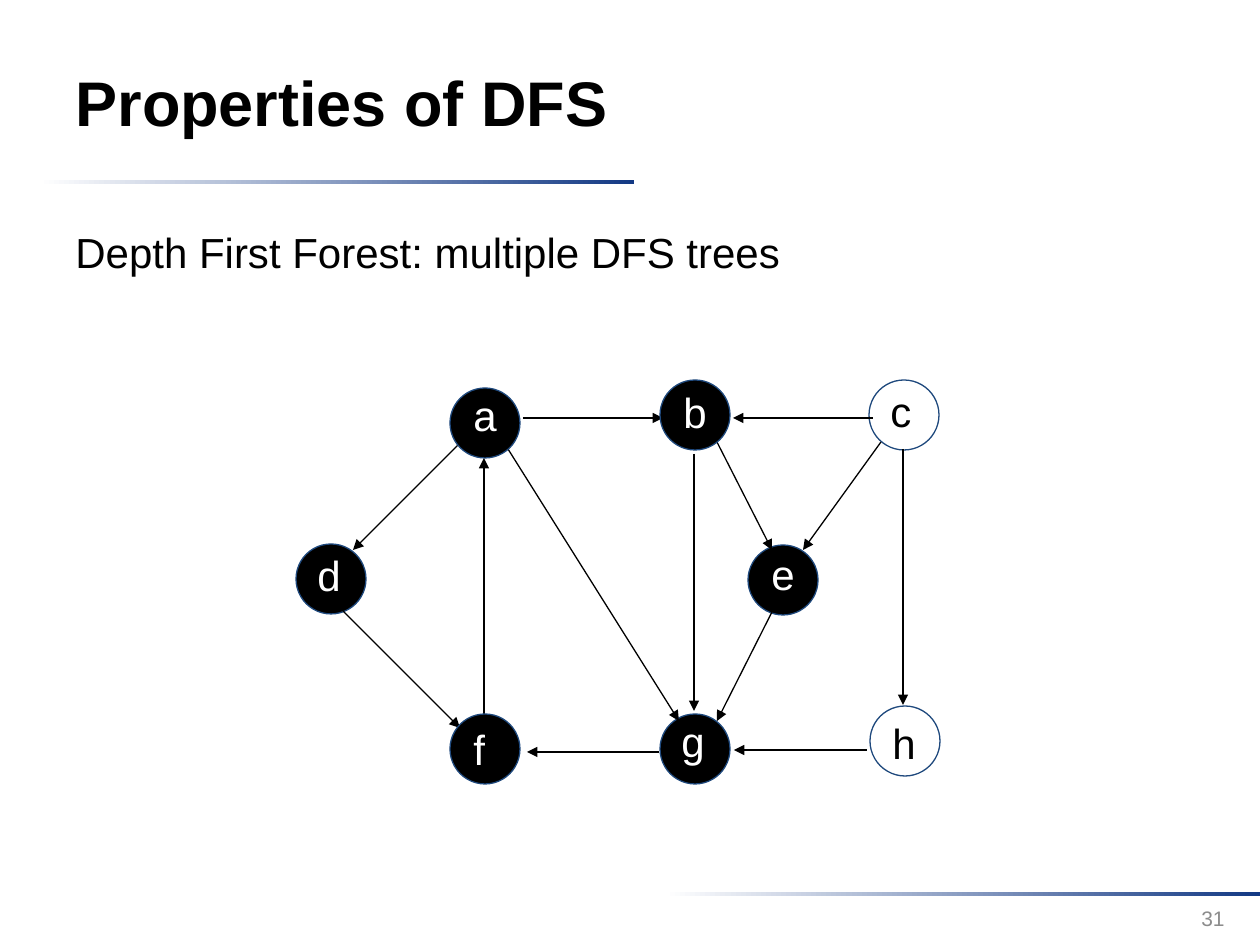
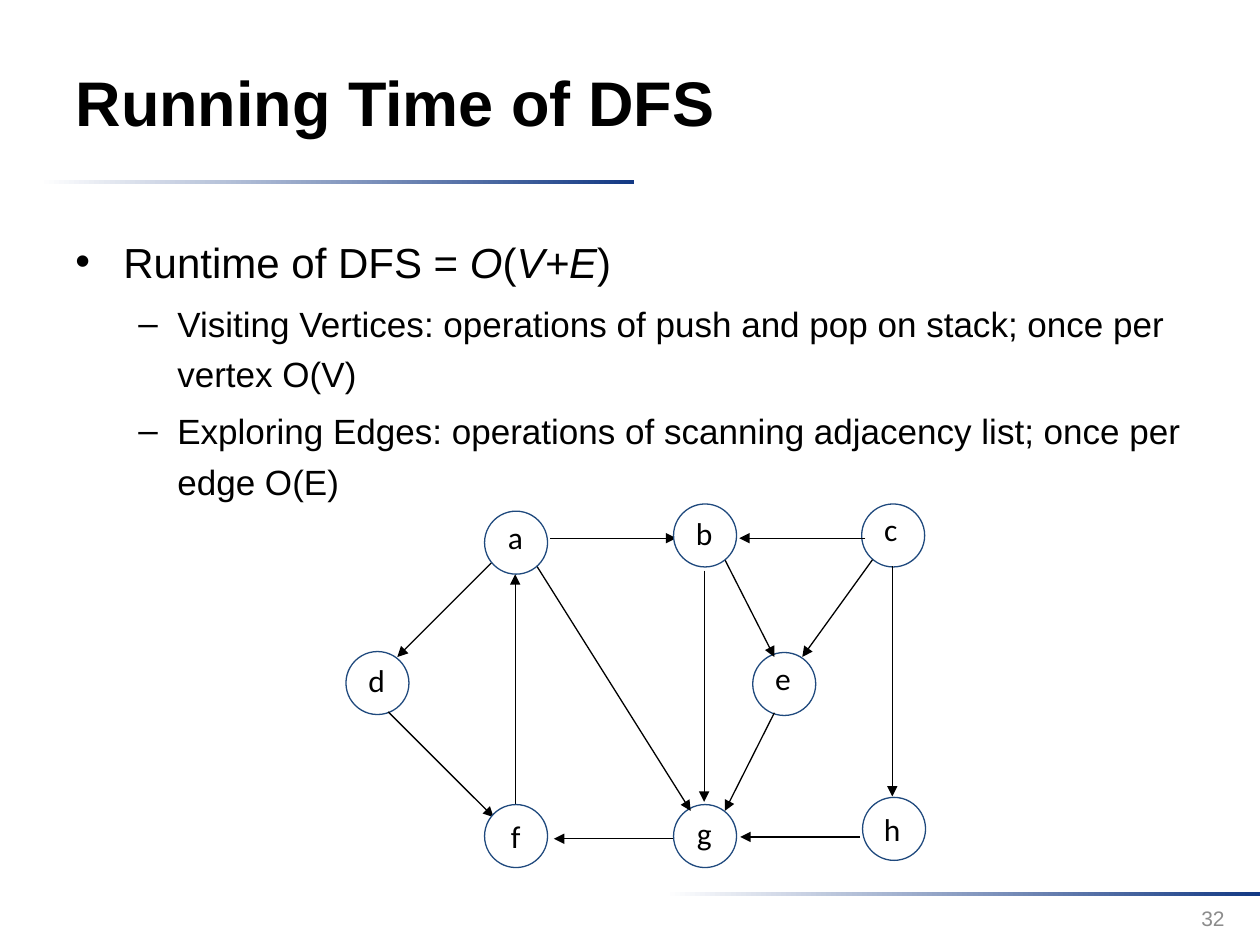
from lxml import etree
from pptx import Presentation
from pptx.dml.color import RGBColor
from pptx.enum.shapes import MSO_CONNECTOR, MSO_SHAPE
from pptx.enum.text import MSO_ANCHOR, PP_ALIGN
from pptx.oxml.ns import qn
from pptx.util import Emu, Pt

LEFT, RIGHT = PP_ALIGN.LEFT, PP_ALIGN.RIGHT
TOP, MIDDLE = MSO_ANCHOR.TOP, MSO_ANCHOR.MIDDLE
RECT, OVAL = MSO_SHAPE.RECTANGLE, MSO_SHAPE.OVAL
STRAIGHT = MSO_CONNECTOR.STRAIGHT

BLACK = RGBColor(0x00, 0x00, 0x00)
WHITE = RGBColor(0xFF, 0xFF, 0xFF)
NAVY = RGBColor(0x13, 0x39, 0x84)
OUTLINE = RGBColor(0x1F, 0x49, 0x7D)
GREY = RGBColor(0x8C, 0x8C, 0x8C)

PX_PER_INCH = 126
SLIDE_W, SLIDE_H = 1260, 945
TITLE_BOX = (63, 23, 974, 157)
BODY_BOX = (63, 220, 1134, 624)
NUMBER_BOX = (944, 893, 293, 50)
BANDS = [(39, 180, 595, 4), (665, 892, 595, 4)]

NODE_SIZE = 70
NODES = {
    "d": (0, 164), "c": (573, 0), "e": (452, 165), "h": (574, 326),
    "g": (364, 334), "f": (154, 334), "a": (154, 8), "b": (364, 0),
}
EDGES = {
    "fa": (188, 335, 188, 78), "ad": (165, 62, 57, 170),
    "df": (47, 231, 164, 348), "ag": (212, 69, 383, 341),
    "gf": (363, 372, 231, 372), "hg": (571, 370, 438, 370),
    "ab": (227, 38, 367, 38), "cb": (577, 38, 437, 38),
    "ch": (607, 69, 607, 325), "bg": (398, 74, 398, 331),
    "be": (421, 62, 476, 170), "ce": (585, 62, 507, 170),
    "eg": (476, 232, 421, 341),
}
FOREST_LABELS = {
    "d": (9, -1), "c": (9, -1), "e": (11, -3), "h": (10, 5),
    "g": (9, -5), "f": (11, 3), "a": (11, -5), "b": (11, 0),
}
RUNTIME_LABELS = {
    "d": (10, 3), "c": (10, 0), "e": (10, 0), "h": (9, 6),
    "g": (11, 3), "f": (14, 6), "a": (11, 1), "b": (10, 4),
}


def px(n):
    """Turn px into EMU."""
    return Emu(round(n * 914400 / PX_PER_INCH))


def emu(box):
    """Turn a box or a pair of points into EMU."""
    return [px(n) for n in box]


def write(p, text, size=24, font="Arial", color=BLACK, bold=False, italic=False):
    """Add one formatted run to a paragraph."""
    r = p.add_run()
    r.text = text
    r.font.size, r.font.name = Pt(size), font
    r.font.bold, r.font.italic = bold, italic
    r.font.color.rgb = color


def add_box(shapes, box, anchor=TOP):
    """Add a wrapping text box and return its text frame."""
    tf = shapes.add_textbox(*emu(box)).text_frame
    tf.word_wrap = True
    tf.vertical_anchor = anchor
    return tf


def add_bullet(p, char, indent, hang):
    """Give a paragraph a hanging bullet."""
    pPr = p._p.get_or_add_pPr()
    pPr.set("marL", str(px(indent)))
    pPr.set("indent", str(-px(hang)))
    etree.SubElement(pPr, qn("a:buFont")).set("typeface", "Arial")
    etree.SubElement(pPr, qn("a:buChar")).set("char", char)


def add_band(s, box):
    """Draw a thin rule that fades in from white."""
    sp = s.shapes.add_shape(RECT, *emu(box))
    sp.shadow.inherit = False
    sp.line.fill.background()
    sp.fill.gradient()
    sp.fill.gradient_angle = 0
    for stop, color in zip(sp.fill.gradient_stops, (WHITE, NAVY)):
        stop.color.rgb = color


def add_frame(prs, title, number):
    """Add a slide with its bands, title and page number."""
    s = prs.slides.add_slide(prs.slide_layouts[5])
    for band in BANDS:
        add_band(s, band)
    sp = s.shapes.title
    sp.left, sp.top, sp.width, sp.height = emu(TITLE_BOX)
    sp.text_frame.vertical_anchor = MIDDLE
    p = sp.text_frame.paragraphs[0]
    p.alignment = LEFT
    write(p, title, size=36, bold=True)
    p = add_box(s.shapes, NUMBER_BOX, MIDDLE).paragraphs[0]
    p.alignment = RIGHT
    write(p, str(number), size=12, color=GREY)
    return s


def add_edge(shapes, ends):
    """Draw an arrow between two points."""
    line = shapes.add_connector(STRAIGHT, *emu(ends))
    line.line.color.rgb = BLACK
    line.line.width = Pt(0.75)
    etree.SubElement(line.line._get_or_add_ln(), qn("a:tailEnd")).set("type", "triangle")
    etree.SubElement(line._element.spPr, qn("a:effectLst"))


def add_node(shapes, name, box, label_box, visited, size, font):
    """Draw a vertex, black once visited, and its label."""
    sp = shapes.add_shape(OVAL, *emu(box))
    sp.shadow.inherit = False
    sp.fill.solid()
    sp.fill.fore_color.rgb = BLACK if visited else WHITE
    sp.line.color.rgb = OUTLINE
    sp.line.width = Pt(0.75)
    p = add_box(shapes, label_box).paragraphs[0]
    write(p, name, size=size, font=font, color=WHITE if visited else BLACK)


def add_graph(s, left, top, labels, label_size, scale=1, visited="", size=24, font="Arial"):
    """Draw the directed graph from its top left corner at a scale."""
    shapes = s.shapes.add_group_shape().shapes

    def add_nodes(names):
        """Draw the named vertices."""
        for name in names:
            x, y = NODES[name]
            x, y = left + x * scale, top + y * scale
            dx, dy = labels[name]
            add_node(shapes, name, (x, y, NODE_SIZE * scale, NODE_SIZE * scale),
                     (x + dx, y + dy, *label_size), name in visited, size, font)

    add_nodes("dcehg")
    for x1, y1, x2, y2 in EDGES.values():
        add_edge(shapes, (left + x1 * scale, top + y1 * scale,
                          left + x2 * scale, top + y2 * scale))
    add_nodes("fab")


def add_forest_slide(prs):
    """Build the slide on the depth first forest."""
    s = add_frame(prs, "Properties of DFS", 31)
    p = add_box(s.shapes, BODY_BOX).paragraphs[0]
    write(p, "Depth First Forest: multiple DFS trees")
    add_graph(s, 296, 380, FOREST_LABELS, (39, 63), visited="abdefg")


def add_runtime_slide(prs):
    """Build the slide on the running time."""
    s = add_frame(prs, "Running Time of DFS", 32)
    tf = add_box(s.shapes, BODY_BOX)
    p = tf.paragraphs[0]
    p.line_spacing = 1.2
    add_bullet(p, "•", 48, 48)
    for text, italic in [("Runtime of DFS = ", False), ("O", True), ("(", False),
                         ("V+E", True), (")", False)]:
        write(p, text, italic=italic)
    for text in ("Visiting Vertices: operations of push and pop on stack; once per vertex O(V)",
                 "Exploring Edges: operations of scanning adjacency list; once per edge O(E)"):
        p = tf.add_paragraph()
        p.level = 1
        p.line_spacing = 1.2
        p.space_before = Pt(4)
        add_bullet(p, "–", 102, 39)
        write(p, text, size=20)
    add_graph(s, 346, 504, RUNTIME_LABELS, (35, 73), scale=0.9, size=18, font="Calibri")


def main():
    """Build and save the presentation."""
    prs = Presentation()
    prs.slide_width, prs.slide_height = px(SLIDE_W), px(SLIDE_H)
    add_forest_slide(prs)
    add_runtime_slide(prs)
    prs.save("out.pptx")


if __name__ == "__main__":
    main()
